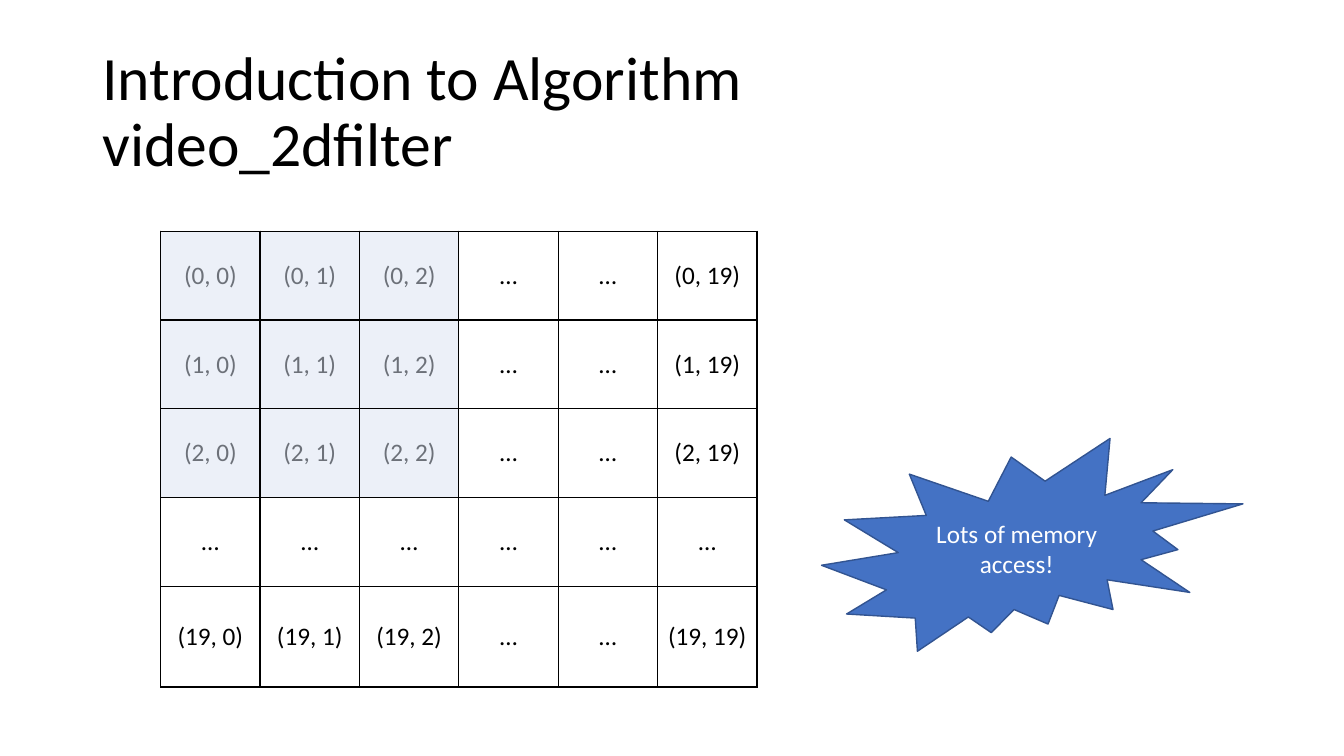
from dataclasses import dataclass

from lxml import etree
from pptx import Presentation
from pptx import util as u
from pptx.dml.color import RGBColor
from pptx.enum import shapes, text
from pptx.oxml.ns import qn

Pt = u.Pt


@dataclass(frozen=True)
class Theme:
    font: str = "Calibri"
    title_size: int = 44
    body_size: int = 18
    ink: str = "000000"
    light: str = "FFFFFF"
    window: str = "DAE3F3"
    window_alpha: int = 50
    burst: str = "4472C4"
    burst_line: str = "325491"
    line_width: int = 1


THEME = Theme()
COLUMN_WIDTH = 71
ROW_HEIGHT = 63.4
LAST_ROW_HEIGHT = 72
PIXELS = [
    [f"({row}, {column})" for column in range(3)] + ["…", "…", f"({row}, 19)"]
    for row in (0, 1, 2, 19)
]
PIXELS.insert(3, ["…"] * 6)
DOTS_ROW = 3
WINDOW_SIZE = 3


def add_run(paragraph, words, size, color):
    run = paragraph.add_run()
    run.text = words
    run.font.name = THEME.font
    run.font.size = Pt(size)
    run.font.color.rgb = RGBColor.from_string(color)


def add_title(slide, left, top, width, height):
    title = slide.shapes.add_textbox(Pt(left), Pt(top), Pt(width), Pt(height))
    frame = title.text_frame
    frame.word_wrap = True
    frame.vertical_anchor = text.MSO_ANCHOR.MIDDLE
    paragraph = frame.paragraphs[0]
    paragraph.line_spacing = 0.9
    add_run(paragraph, "Introduction to Algorithm", THEME.title_size, THEME.ink)
    paragraph.add_line_break()
    add_run(paragraph, "video_2dfilter", THEME.title_size, THEME.ink)


def set_borders(cell):
    """Rule all four sides; borders must precede the fill in the cell properties."""
    properties = cell._tc.get_or_add_tcPr()
    for position, side in enumerate(("a:lnL", "a:lnR", "a:lnT", "a:lnB")):
        border = etree.Element(qn(side), w=str(Pt(THEME.line_width)))
        fill = etree.SubElement(border, qn("a:solidFill"))
        etree.SubElement(fill, qn("a:srgbClr"), val=THEME.ink)
        properties.insert(position, border)


def add_grid(slide, left, top, row_heights, column_count):
    frame = slide.shapes.add_table(
        len(row_heights), column_count, Pt(left), Pt(top),
        Pt(COLUMN_WIDTH * column_count), Pt(sum(row_heights)))
    grid = frame.table
    grid.first_row = grid.horz_banding = False
    for column in grid.columns:
        column.width = Pt(COLUMN_WIDTH)
    for row, height in zip(grid.rows, row_heights):
        row.height = Pt(height)
    for cell in grid.iter_cells():
        cell.fill.background()
        set_borders(cell)
    return grid


def add_pixel_table(slide, left, top):
    heights = [ROW_HEIGHT] * (len(PIXELS) - 1) + [LAST_ROW_HEIGHT]
    grid = add_grid(slide, left, top, heights, len(PIXELS[0]))
    for row, labels in enumerate(PIXELS):
        for column, label in enumerate(labels):
            cell = grid.cell(row, column)
            cell.vertical_anchor = text.MSO_ANCHOR.MIDDLE
            if row == DOTS_ROW:
                cell._tc.get_or_add_tcPr().set("vert", "eaVert")
            paragraph = cell.text_frame.paragraphs[0]
            paragraph.alignment = text.PP_ALIGN.CENTER
            add_run(paragraph, label, THEME.body_size, THEME.ink)


def add_filter_window(slide, left, top):
    """Veil the pixels under the filter with a translucent grid."""
    grid = add_grid(slide, left, top, [ROW_HEIGHT] * WINDOW_SIZE, WINDOW_SIZE)
    for cell in grid.iter_cells():
        cell.fill.solid()
        cell.fill.fore_color.rgb = RGBColor.from_string(THEME.window)
        color = cell._tc.tcPr.find(qn("a:solidFill")).find(qn("a:srgbClr"))
        etree.SubElement(color, qn("a:alpha"), val=str(THEME.window_alpha * 1000))


def add_burst(slide, left, top, width, height):
    burst = slide.shapes.add_shape(
        shapes.MSO_SHAPE.EXPLOSION2, Pt(left), Pt(top), Pt(width), Pt(height))
    burst.shadow.inherit = False
    burst.fill.solid()
    burst.fill.fore_color.rgb = RGBColor.from_string(THEME.burst)
    burst.line.color.rgb = RGBColor.from_string(THEME.burst_line)
    burst.line.width = Pt(THEME.line_width)
    frame = burst.text_frame
    frame.word_wrap = True
    frame.vertical_anchor = text.MSO_ANCHOR.MIDDLE
    paragraph = frame.paragraphs[0]
    paragraph.alignment = text.PP_ALIGN.CENTER
    add_run(paragraph, "Lots of memory access!", THEME.body_size, THEME.light)


def main():
    deck = Presentation()
    deck.slide_width, deck.slide_height = Pt(960), Pt(540)
    slide = deck.slides.add_slide(deck.slide_layouts[6])
    table_left, table_top = 114.8, 165.2
    add_title(slide, 66, 28.75, 828, 104.4)
    add_pixel_table(slide, table_left, table_top)
    add_filter_window(slide, table_left, table_top)
    add_burst(slide, 586.8, 313.2, 301, 152)
    deck.save("out.pptx")


if __name__ == "__main__":
    main()
